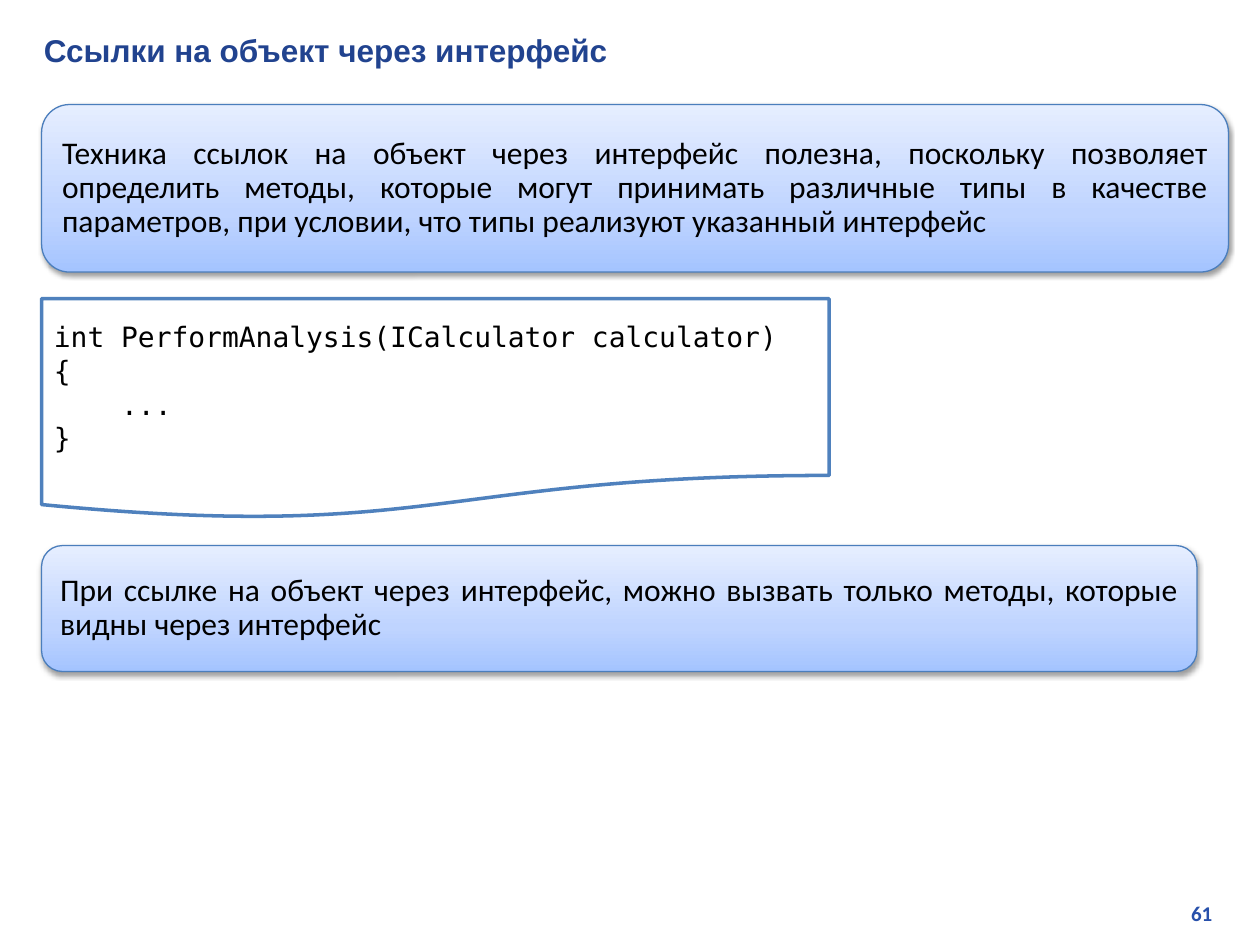
from copy import deepcopy
from dataclasses import dataclass

from lxml import etree
from pptx import Presentation
from pptx.dml.color import RGBColor
from pptx.enum.shapes import MSO_SHAPE
from pptx.enum.text import MSO_ANCHOR, PP_ALIGN
from pptx.oxml.ns import qn
from pptx.util import Inches, Pt

ROUND = MSO_SHAPE.ROUNDED_RECTANGLE
PAGE = MSO_SHAPE.FLOWCHART_DOCUMENT
LEFT, RIGHT, JUSTIFY = PP_ALIGN.LEFT, PP_ALIGN.RIGHT, PP_ALIGN.JUSTIFY
MIDDLE = MSO_ANCHOR.MIDDLE

COLORS = {
    "title": "21438F",
    "number": "2750AB",
    "text": "000000",
    "paper": "FFFFFF",
    "frame": "4F81BD",
    "edge": "4B7EBC",
    "shadow": "000000",
    "deep": "A4C4FF",
    "mid": "BFD4FF",
    "pale": "E6EEFF",
}
STOPS = (("deep", 0), ("mid", 0.35), ("pale", 1))
MARGIN = 0.33


@dataclass
class Style:
    font: str
    size: float
    color: str
    bold: bool = False
    align: PP_ALIGN = LEFT
    spacing: float = 1.0


@dataclass
class Note:
    top: float
    width: float
    height: float
    text: str


TITLE = Style("Arial", 18, "title", bold=True)
NUMBER = Style("Calibri", 12, "number", bold=True, align=RIGHT)
CODE = Style("DejaVu Sans Mono", 16, "text")
BODY = Style("Calibri", 18, "text", align=JUSTIFY, spacing=0.9)

NOTES = (
    Note(0.83, 9.42, 1.33,
         "Техника ссылок на объект через интерфейс полезна, поскольку "
         "позволяет определить методы, которые могут принимать различные "
         "типы в качестве параметров, при условии, что типы реализуют "
         "указанный интерфейс"),
    Note(4.33, 9.17, 1,
         "При ссылке на объект через интерфейс, можно вызвать только "
         "методы, которые видны через интерфейс"),
)
SOURCE = """int PerformAnalysis(ICalculator calculator)
{
    ...
}"""


def rgb(name: str) -> RGBColor:
    return RGBColor.from_string(COLORS[name])


def write(shape, text: str, style: Style) -> None:
    """Put each line of text in its own paragraph."""
    frame = shape.text_frame
    frame.word_wrap = True
    frame.vertical_anchor = MIDDLE
    for i, line in enumerate(text.split("\n")):
        para = frame.add_paragraph() if i else frame.paragraphs[0]
        para.alignment = style.align
        para.line_spacing = style.spacing
        run = para.add_run()
        run.text = line
        run.font.name = style.font
        run.font.size = Pt(style.size)
        run.font.bold = style.bold
        run.font.color.rgb = rgb(style.color)


def add_label(slide, left: float, top: float, width: float, height: float,
              text: str, style: Style) -> None:
    box = slide.shapes.add_textbox(
        Inches(left), Inches(top), Inches(width), Inches(height))
    write(box, text, style)


def add_panel(slide, kind: MSO_SHAPE, top: float, width: float, height: float,
              edge: str, weight: float):
    """Add an outlined shape at the left margin, without a shadow."""
    shape = slide.shapes.add_shape(
        kind, Inches(MARGIN), Inches(top), Inches(width), Inches(height))
    shape.shadow.inherit = False
    shape.line.color.rgb = rgb(edge)
    shape.line.width = Pt(weight)
    return shape


def shade(shape) -> None:
    """Fill with the blue gradient, deep at the bottom."""
    fill = shape.fill
    fill.gradient()
    fill.gradient_angle = 90
    stops = shape.element.spPr.find(qn("a:gradFill")).find(qn("a:gsLst"))
    stops.insert(1, deepcopy(stops[0]))
    for stop, (name, place) in zip(fill.gradient_stops, STOPS):
        stop.color.rgb = rgb(name)
        stop.position = place


def drop_shadow(shape) -> None:
    effects = shape.element.spPr.find(qn("a:effectLst"))
    outer = etree.SubElement(
        effects, qn("a:outerShdw"), blurRad=str(Pt(3.1)), dist=str(Pt(1.6)),
        dir="5400000", rotWithShape="0")
    color = etree.SubElement(outer, qn("a:srgbClr"), val=COLORS["shadow"])
    etree.SubElement(color, qn("a:alpha"), val="38000")


def add_note(slide, note: Note) -> None:
    shape = add_panel(slide, ROUND, note.top, note.width, note.height,
                      "edge", 0.75)
    shade(shape)
    drop_shadow(shape)
    write(shape, note.text, BODY)


def add_code(slide) -> None:
    shape = add_panel(slide, PAGE, 2.37, 6.25, 1.75, "frame", 2)
    shape.fill.solid()
    shape.fill.fore_color.rgb = rgb("paper")
    write(shape, SOURCE, CODE)


def main() -> None:
    deck = Presentation()
    deck.slide_width, deck.slide_height = Inches(10), Inches(7.5)
    slide = deck.slides.add_slide(deck.slide_layouts[6])
    add_label(slide, 7.6, 7.1, 2.12, 0.3, "61", NUMBER)
    add_label(slide, 0.25, 0.2, 9.54, 0.4,
              "Ссылки на объект через интерфейс", TITLE)
    add_code(slide)
    for note in NOTES:
        add_note(slide, note)
    deck.save("out.pptx")


if __name__ == "__main__":
    main()
